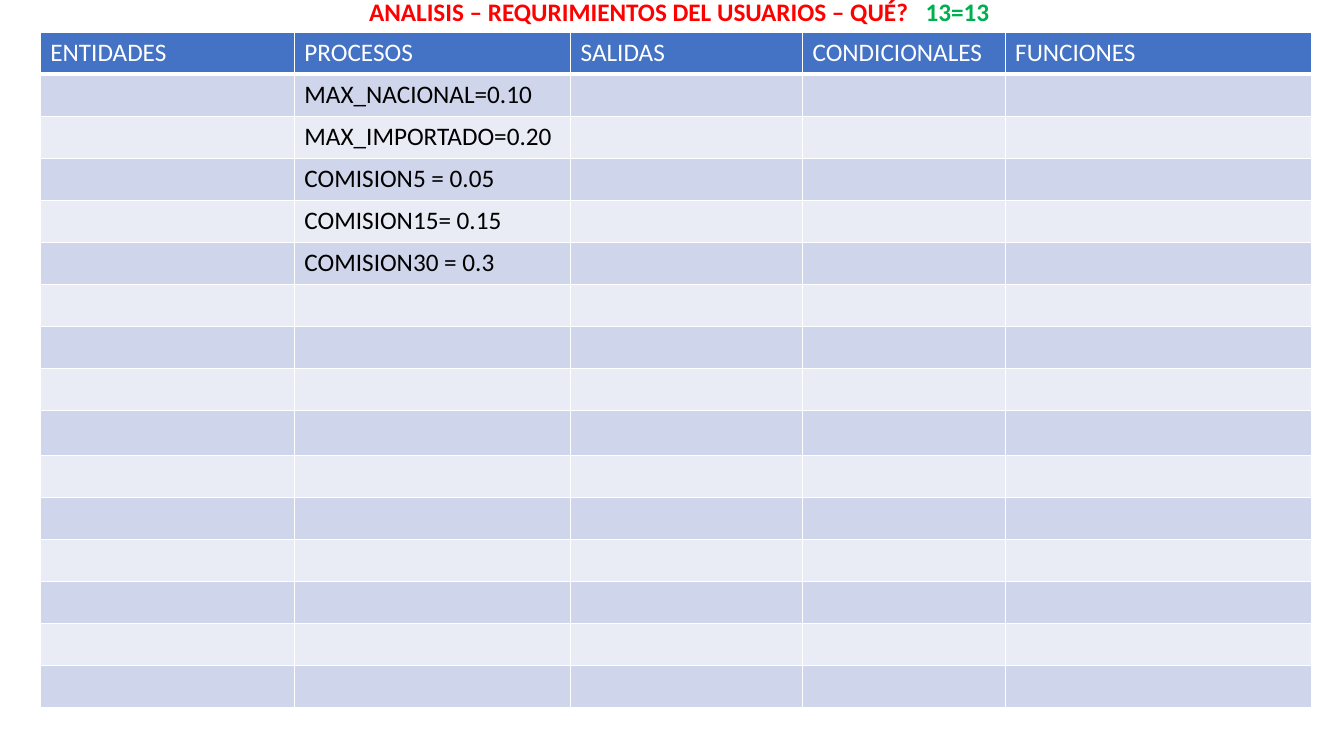
from lxml import etree
from pptx import Presentation
from pptx import util as u
from pptx.dml import color
from pptx.enum import text
from pptx.oxml import ns

FONT = "Calibri"
HEADINGS = ["ENTIDADES", "PROCESOS", "SALIDAS", "CONDICIONALES", "FUNCIONES"]
PROCESSES = [
    "MAX_NACIONAL=0.10",
    "MAX_IMPORTADO=0.20",
    "COMISION5 = 0.05",
    "COMISION15= 0.15",
    "COMISION30 = 0.3",
]
COLUMN_WIDTHS = [2.52, 2.74, 2.3, 2.01, 3.04]
ROW_COUNT = 16
TALL_ROW = 9
TALL_HEIGHT = 0.45
TABLE_HEIGHT = 6.7
HEADER_FILL = "4472C4"
BAND_FILLS = ["E9EBF5", "CFD5EA"]


def rgb(value):
    return color.RGBColor.from_string(value)


def add_run(paragraph, words, hex_color, bold=False):
    run = paragraph.add_run()
    run.text = words
    run.font.name = FONT
    run.font.size = u.Pt(18)
    run.font.bold = bold
    run.font.color.rgb = rgb(hex_color)


def add_tab_stop(paragraph, position):
    properties = paragraph._p.get_or_add_pPr()
    tabs = etree.SubElement(properties, ns.qn("a:tabLst"))
    etree.SubElement(tabs, ns.qn("a:tab"), pos=str(position), algn="l")


def add_border(cell, side, points):
    properties = cell._tc.get_or_add_tcPr()
    line = etree.SubElement(properties, ns.qn(f"a:ln{side}"), w=str(u.Pt(points)))
    fill = etree.SubElement(line, ns.qn("a:solidFill"))
    etree.SubElement(fill, ns.qn("a:srgbClr"), val="FFFFFF")


def format_cell(cell, fill, bottom_width):
    for side in "LRT":
        add_border(cell, side, 1)
    add_border(cell, "B", bottom_width)
    cell.fill.solid()
    cell.fill.fore_color.rgb = rgb(fill)
    cell.text_frame.paragraphs[0].font.size = u.Pt(18)


def fill_title(title):
    title.left, title.top = u.Inches(3.56), u.Inches(-0.09)
    title.width, title.height = u.Inches(6.41), u.Inches(0.4)
    frame = title.text_frame
    frame.auto_size = text.MSO_AUTO_SIZE.NONE
    frame.word_wrap = True
    frame.vertical_anchor = text.MSO_ANCHOR.TOP
    paragraph = frame.paragraphs[0]
    add_tab_stop(paragraph, u.Inches(5.52))
    paragraph.alignment = text.PP_ALIGN.LEFT
    add_run(paragraph, "ANALISIS – REQURIMIENTOS DEL USUARIOS – QUÉ?\t", "FF0000", True)
    add_run(paragraph, "13=13", "00B050", True)


def add_requirements_table(slide):
    table = slide.shapes.add_table(
        ROW_COUNT, len(HEADINGS), u.Inches(0.4), u.Inches(0.32),
        u.Inches(sum(COLUMN_WIDTHS)), u.Inches(TABLE_HEIGHT),
    ).table
    for column, width in zip(table.columns, COLUMN_WIDTHS):
        column.width = u.Inches(width)
    row_height = (TABLE_HEIGHT - TALL_HEIGHT) / (ROW_COUNT - 1)
    for index, row in enumerate(table.rows):
        row.height = u.Inches(TALL_HEIGHT if index == TALL_ROW else row_height)
        fill = BAND_FILLS[index % 2] if index else HEADER_FILL
        for cell in row.cells:
            format_cell(cell, fill, 1 if index else 3)
    for column, heading in enumerate(HEADINGS):
        add_run(table.cell(0, column).text_frame.paragraphs[0], heading, "FFFFFF")
    for row, process in enumerate(PROCESSES, start=1):
        add_run(table.cell(row, 1).text_frame.paragraphs[0], process, "000000")


def main():
    presentation = Presentation()
    presentation.slide_width = u.Inches(13.33)
    presentation.slide_height = u.Inches(7.5)
    slide = presentation.slides.add_slide(presentation.slide_layouts[5])
    add_requirements_table(slide)
    fill_title(slide.shapes.title)
    presentation.save("out.pptx")


if __name__ == "__main__":
    main()
